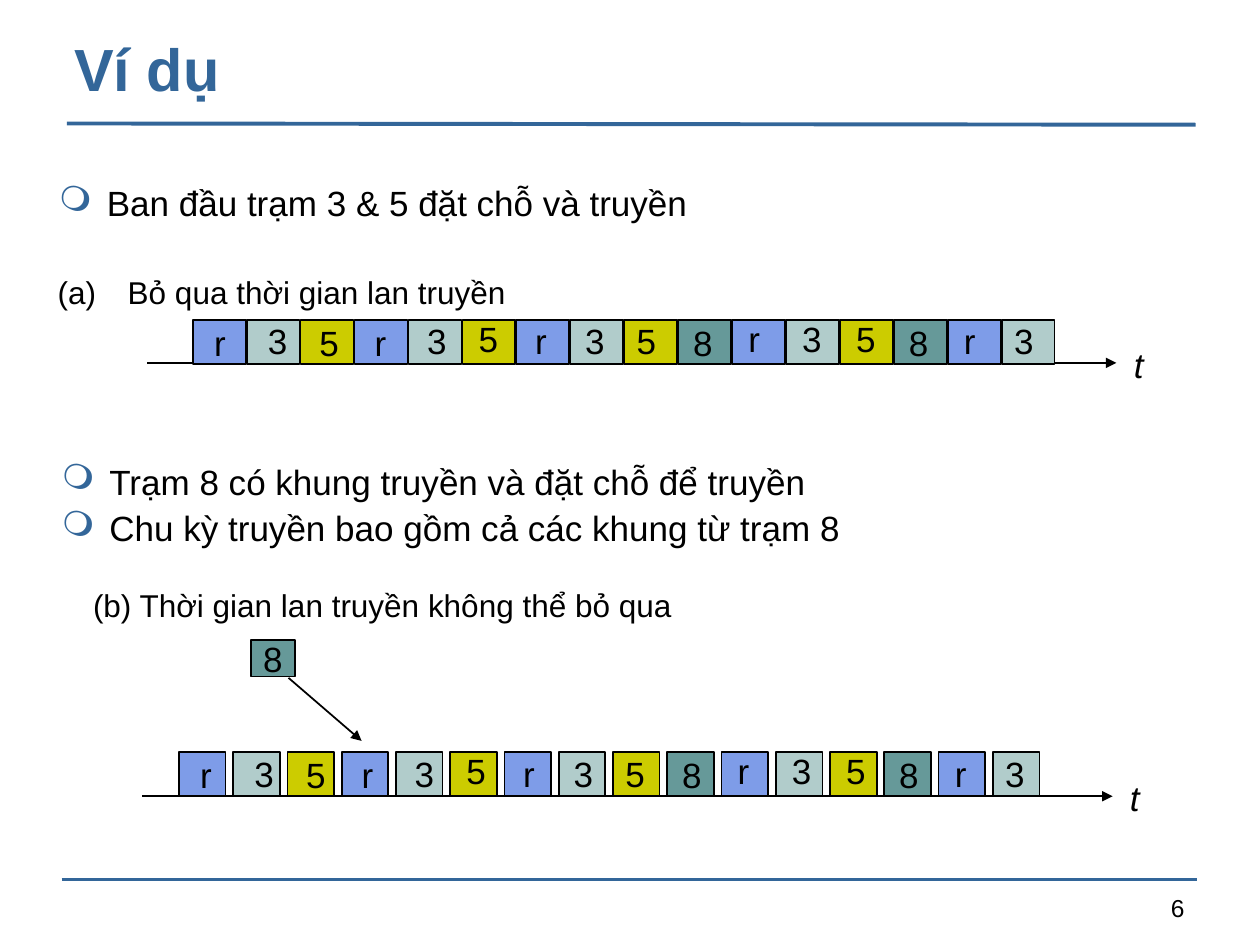
from lxml.etree import SubElement
from pptx import Presentation
from pptx.dml.color import RGBColor
from pptx.enum.shapes import MSO_CONNECTOR as CONNECTOR, MSO_SHAPE as SHAPE
from pptx.enum.text import MSO_ANCHOR as ANCHOR, PP_ALIGN as ALIGN
from pptx.oxml.ns import qn
from pptx.util import Inches, Pt

BLACK = RGBColor(0x00, 0x00, 0x00)
BLUE = RGBColor(0x33, 0x66, 0x99)
RESERVATION = RGBColor(0x7E, 0x9C, 0xE8)
STATION_3 = RGBColor(0xB1, 0xCC, 0xCB)
STATION_5 = RGBColor(0xCC, 0xCC, 0x00)
STATION_8 = RGBColor(0x66, 0x99, 0x99)
FRAME_COLORS = {"r": RESERVATION, "3": STATION_3, "5": STATION_5, "8": STATION_8}

# Wording, with Vietnamese tone marks as combining characters
TITLE = "Vi\u0301 du\u0323"
START = ("Ban \u0111\u00e2\u0300u tra\u0323m 3 & 5 \u0111\u0103\u0323t ch\u00f4\u0303 "
         "va\u0300 truy\u00ea\u0300n")
JOINING = [
    "Tra\u0323m 8 co\u0301 khung truy\u00ea\u0300n va\u0300 \u0111\u0103\u0323t "
    "ch\u00f4\u0303 \u0111\u00ea\u0309 truy\u00ea\u0300n",
    "Chu ky\u0300 truy\u00ea\u0300n bao g\u00f4\u0300m ca\u0309 ca\u0301c khung "
    "t\u01b0\u0300 tra\u0323m 8",
]
CASE_A = "(a)\u3000Bo\u0309 qua th\u01a1\u0300i gian lan truy\u00ea\u0300n"
CASE_B = ("(b) Th\u01a1\u0300i gian lan truy\u00ea\u0300n kh\u00f4ng "
          "th\u00ea\u0309 bo\u0309 qua")

# Frames in sending order: label, and its offset from the frame's corner
FRAMES = [
    ("r", 0.07, -0.04), ("3", 0.07, -0.05), ("5", 0.05, -0.04),
    ("r", 0.06, -0.04), ("3", 0.05, -0.05), ("5", 0.03, -0.07),
    ("r", 0.05, -0.05), ("3", 0.02, -0.05), ("5", 0.00, -0.05), ("8", 0.02, -0.04),
    ("r", 0.03, -0.07), ("3", 0.03, -0.07), ("5", 0.03, -0.07), ("8", 0.02, -0.04),
    ("r", 0.03, -0.05), ("3", 0.00, -0.05),
]


def add_text(slide, left, top, width, height, lines, size=20, color=BLACK,
             bold=False, italic=False, align=ALIGN.LEFT, anchor=ANCHOR.TOP):
    box = slide.shapes.add_textbox(Inches(left), Inches(top), Inches(width), Inches(height))
    frame = box.text_frame
    frame.word_wrap = True
    frame.vertical_anchor = anchor
    frame.text = "\n".join(lines)
    for paragraph in frame.paragraphs:
        paragraph.alignment = align
        font = paragraph.font
        font.name, font.size = "Arial", Pt(size)
        font.bold, font.italic = bold, italic
        font.color.rgb = color
    return box


def add_bullets(slide, left, top, lines):
    box = add_text(slide, left, top, 9.06, 0.63, lines)
    for paragraph in box.text_frame.paragraphs:
        paragraph.line_spacing = 0.9
        paragraph.space_before = Pt(5)
        properties = paragraph._p.get_or_add_pPr()
        properties.set("marL", str(Inches(0.38)))
        properties.set("indent", str(-Inches(0.38)))
        # Bullet colour and character come before the default run properties
        defaults = properties.find(qn("a:defRPr"))
        bullet_color = SubElement(properties, qn("a:buClr"))
        SubElement(bullet_color, qn("a:srgbClr")).set("val", str(BLUE))
        bullet = SubElement(properties, qn("a:buChar"))
        bullet.set("char", "❍")
        properties.append(defaults)


def add_line(slide, start, end, color=BLACK, width=1, arrow=False):
    points = [Inches(value) for value in (*start, *end)]
    line = slide.shapes.add_connector(CONNECTOR.STRAIGHT, *points)
    line.line.color.rgb = color
    line.line.width = Pt(width)
    if arrow:
        SubElement(line.line._get_or_add_ln(), qn("a:tailEnd")).set("type", "triangle")
    SubElement(line._element.spPr, qn("a:effectLst"))


def add_frame(slide, left, top, width, height, label):
    shape = slide.shapes.add_shape(
        SHAPE.RECTANGLE, Inches(left), Inches(top), Inches(width), Inches(height))
    shape.shadow.inherit = False
    shape.fill.solid()
    shape.fill.fore_color.rgb = FRAME_COLORS[label]
    shape.line.color.rgb = BLACK
    shape.line.width = Pt(0.99)


def add_frame_row(slide, left, top, width, last_left, label_widths):
    pitch = (last_left - left) / (len(FRAMES) - 1)
    for index, (label, _, _) in enumerate(FRAMES):
        add_frame(slide, left + index * pitch, top, width, 0.35, label)
    reservation_width, station_width = label_widths
    for index, (label, shift_x, shift_y) in enumerate(FRAMES):
        label_width = reservation_width if label == "r" else station_width
        add_text(slide, left + index * pitch + shift_x, top + shift_y,
                 label_width, 0.43, [label])


def main():
    presentation = Presentation()
    presentation.slide_width, presentation.slide_height = Inches(10), Inches(7.5)
    slide = presentation.slides.add_slide(presentation.slide_layouts[6])

    # Title, rules and page number
    add_line(slide, (0.53, 0.98), (9.49, 0.99), BLUE, 2.24)
    add_line(slide, (0.49, 6.98), (9.5, 6.98), BLUE, 1.5)
    add_text(slide, 7.17, 7.04, 2.33, 0.29, ["6"], size=14, align=ALIGN.RIGHT)
    add_text(slide, 0.49, 0.19, 9.02, 0.68, [TITLE], size=34, color=BLUE,
             bold=True, anchor=ANCHOR.BOTTOM)

    # Explanations
    add_bullets(slide, 0.37, 1.43, [START])
    add_bullets(slide, 0.39, 3.64, JOINING)

    # (a) Propagation time ignored
    add_text(slide, 0.36, 2.12, 5.32, 0.43, [CASE_A], size=18)
    add_line(slide, (1.17, 2.88), (8.86, 2.88), width=0.99, arrow=True)
    add_text(slide, 8.9, 2.68, 0.35, 0.43, ["t"], italic=True)
    add_frame_row(slide, 1.53, 2.54, 0.42, 7.95, (0.29, 0.35))

    # (b) Propagation time counted, with station 8 joining
    add_text(slide, 0.64, 4.6, 4.87, 0.43, [CASE_B], size=18)
    add_text(slide, 8.87, 6.11, 0.46, 0.43, ["t"], italic=True)
    add_frame_row(slide, 1.42, 5.97, 0.37, 7.88, (0.26, 0.3))
    add_frame(slide, 1.99, 5.08, 0.35, 0.29, "8")
    add_text(slide, 1.99, 5.01, 0.3, 0.43, ["8"])
    add_line(slide, (2.29, 5.38), (2.87, 5.88), width=0.99, arrow=True)
    add_line(slide, (1.13, 6.32), (8.83, 6.32), width=0.99, arrow=True)

    presentation.save("out.pptx")


main()
